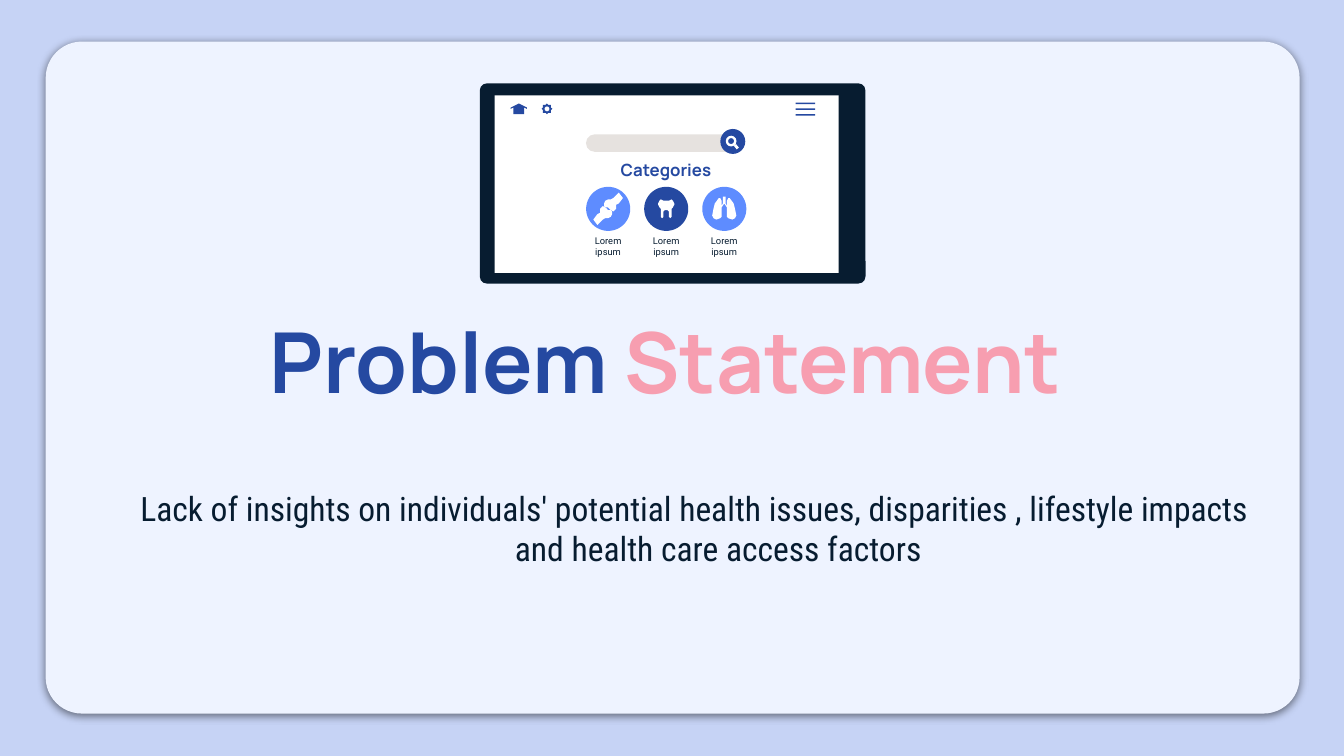
"""Build the problem statement slide with its health app screen."""
from dataclasses import dataclass
from math import cos, pi, sin

from lxml import etree
from pptx import Presentation
from pptx.dml.color import RGBColor
from pptx.enum.shapes import MSO_CONNECTOR, MSO_SHAPE
from pptx.enum.text import MSO_ANCHOR, MSO_AUTO_SIZE, PP_ALIGN
from pptx.oxml import parse_xml
from pptx.oxml.ns import nsdecls, qn
from pptx.util import Emu, Inches, Pt

RECT, ROUND = MSO_SHAPE.RECTANGLE, MSO_SHAPE.ROUNDED_RECTANGLE
OVAL, DONUT = MSO_SHAPE.OVAL, MSO_SHAPE.DONUT
TOP, MIDDLE, BOTTOM = MSO_ANCHOR.TOP, MSO_ANCHOR.MIDDLE, MSO_ANCHOR.BOTTOM
CENTER, NO_FIT = PP_ALIGN.CENTER, MSO_AUTO_SIZE.NONE
STRAIGHT = MSO_CONNECTOR.STRAIGHT

WIDTH, HEIGHT = Inches(10), Inches(5.625)
PERCENT = WIDTH // 100
ICON_STEP = PERCENT // 10
NAVY, BLUE, SKY, PINK = "071C30", "2549A1", "5E8CFF", "F79EB0"
WHITE, PALE, GREY, BACKDROP = "FFFFFF", "EEF3FF", "E6E2DF", "C6D3F5"

Points = list[tuple[float, float]]


@dataclass(frozen=True)
class Box:
    """A rectangle in percent of the slide width."""
    left: float
    top: float
    width: float
    height: float

    def emu(self) -> list[Emu]:
        """Return the four lengths in EMU."""
        sides = (self.left, self.top, self.width, self.height)
        return [Emu(round(side * PERCENT)) for side in sides]


@dataclass(frozen=True)
class Panel:
    """A filled preset shape, with an optional corner or ring share."""
    preset: int
    box: Box
    color: str
    share: float | None = None


@dataclass(frozen=True)
class TextStyle:
    """The look of a text block."""
    font: str
    size: float
    bold: bool = False
    anchor: int = TOP
    inset: float = 1


@dataclass(frozen=True)
class Category:
    """A round button with the outlines of its icon."""
    color: str
    outlines: list[Points]


def hex_color(value: str) -> RGBColor:
    """Turn a hex string into a colour."""
    return RGBColor.from_string(value)


def paint(shape, color: str) -> None:
    """Give a shape a flat fill without line or shadow."""
    shape.fill.solid()
    shape.fill.fore_color.rgb = hex_color(color)
    shape.line.fill.background()
    shape.shadow.inherit = False


def draw_panel(page, panel: Panel):
    """Draw one preset shape."""
    shape = page.shapes.add_shape(panel.preset, *panel.box.emu())
    if panel.share is not None:
        shape.adjustments[0] = panel.share
    paint(shape, panel.color)
    return shape


def draw_outline(page, x: float, y: float, points: Points, color: str) -> None:
    """Draw a closed outline around a centre, in tenths of a percent."""
    builder = page.shapes.build_freeform(*points[0], scale=ICON_STEP)
    builder.add_line_segments(points[1:], close=True)
    paint(builder.convert_to_shape(round(x * PERCENT), round(y * PERCENT)), color)


def write(holder, box: Box, spans: list[tuple[str, str]], style: TextStyle) -> None:
    """Place a text holder and fill it with coloured spans."""
    holder.left, holder.top, holder.width, holder.height = box.emu()
    frame = holder.text_frame
    inset = round(style.inset * PERCENT)
    sides = ("left", "top", "right", "bottom")
    layout = {f"margin_{side}": inset for side in sides}
    layout |= {"word_wrap": True, "auto_size": NO_FIT, "vertical_anchor": style.anchor}
    for name, value in layout.items():
        setattr(frame, name, value)
    para = frame.paragraphs[0]
    para.alignment, para.space_before = CENTER, Pt(0)
    for text, color in spans:
        span = para.add_run()
        span.text = text
        look = {"name": style.font, "size": Pt(style.size), "bold": style.bold}
        for name, value in look.items():
            setattr(span.font, name, value)
        span.font.color.rgb = hex_color(color)


def add_text(page, box: Box, text: str, color: str, style: TextStyle) -> None:
    """Add a text box with one span."""
    write(page.shapes.add_textbox(*box.emu()), box, [(text, color)], style)


def mirrored(half: Points) -> Points:
    """Complete a right half with its reflection."""
    return half + [(-x, y) for x, y in reversed(half)]


def gear(teeth: int, outer: float, inner: float) -> Points:
    """Return the outline of a gear wheel."""
    step = 2 * pi / (teeth * 4)
    radii = [outer if index % 4 < 2 else inner for index in range(teeth * 4)]
    return [(radius * cos((index - .5) * step), radius * sin((index - .5) * step))
            for index, radius in enumerate(radii)]


BONE = [(7.5, -11.5), (3.5, -7.5), (2, -6.8), (.5, -6.8), (-1.5, -6), (-2.7, -4.5),
        (-2.7, -2.5), (-1.5, -1), (.4, -.6), (1.1, .3), (2, 1.3), (3.5, 1.7),
        (5.3, 1), (6.2, -.5), (6.2, -2), (6.5, -3.4), (7.5, -4.5), (10.8, -8.2)]
TOOTH = mirrored([(0, -5.7), (1.5, -6.4), (3.5, -6.6), (5.2, -5.6), (5.8, -4),
                  (5.6, -2.6), (4.7, -1.2), (4.5, 0), (4.5, 3.5), (3.8, 6),
                  (2.8, 6.6), (1.8, 6), (1.7, 2), (1, 1), (0, .6)])
LUNGS = mirrored([(.7, -9.3), (.7, -4.5), (2.3, -2.5), (2.3, -6), (3.3, -7.5),
                  (4.5, -7.5), (7, -4.5), (8.5, 0), (9, 5), (8.2, 7), (6, 7.5),
                  (3.2, 7.2), (2.3, 6), (2.3, -1.2), (0, -3.5)])
HOME = mirrored([(0, -4.3), (6, -.7), (6, 0), (4.4, -.7), (4.4, 3.9)])

CATEGORIES = [Category(SKY, [BONE, [(-x, -y) for x, y in BONE]]),
              Category(BLUE, [TOOTH]), Category(SKY, [LUNGS])]
SCREEN = [Panel(ROUND, Box(35.7, 6.2, 28.7, 14.9), NAVY, .036),
          Panel(RECT, Box(36.8, 7.1, 25.6, 13.2), WHITE),
          Panel(ROUND, Box(43.6, 10, 11.2, 1.3), GREY, .5),
          Panel(OVAL, Box(53.6, 9.6, 1.86, 1.86), BLUE),
          Panel(DONUT, Box(54, 10.1, .8, .8), WHITE, .22)]
MENU = [Panel(RECT, Box(59.2, 7.64 + row * .43, 1.45, .12), BLUE) for row in range(3)]

TITLE = TextStyle("Manrope", 45, True, BOTTOM)
BODY = TextStyle("Roboto Condensed", 18, anchor=MIDDLE)
HEADING = TextStyle("Manrope", 9, True)
LABEL = TextStyle("Roboto", 5, inset=.9)


def draw_card(page) -> None:
    """Draw the pale card with its soft shadow."""
    card = draw_panel(page, Panel(ROUND, Box(3.4, 3.1, 93.3, 50), PALE, .054))
    effects = card.element.spPr.find(qn("a:effectLst"))
    effects.append(parse_xml(
        f'<a:outerShdw {nsdecls("a")} blurRad="57150" dist="19050" dir="5400000" '
        'algn="bl" rotWithShape="0"><a:srgbClr val="000000">'
        '<a:alpha val="50000"/></a:srgbClr></a:outerShdw>'))


def draw_screen(page) -> None:
    """Draw the tablet with its toolbar, search bar and categories."""
    for panel in SCREEN + MENU:
        draw_panel(page, panel)
    ends = [Emu(round(end * PERCENT)) for end in (54.68, 10.78, 54.9, 11.05)]
    handle = page.shapes.add_connector(STRAIGHT, *ends)
    handle.line.color.rgb, handle.line.width = hex_color(WHITE), Pt(1.5)
    etree.SubElement(handle.element.spPr, qn("a:effectLst"))
    draw_outline(page, 38.6, 8.1, HOME, BLUE)
    draw_outline(page, 40.7, 8.1, gear(8, 4.3, 3.4), BLUE)
    draw_panel(page, Panel(OVAL, Box(40.52, 7.92, .36, .36), WHITE))
    add_text(page, Box(44.9, 10.9, 9.3, 2.5), "Categories", BLUE, HEADING)
    for column, category in enumerate(CATEGORIES):
        x, y, size = 45.25 + column * 4.32, 15.54, 3.28
        circle = Box(x - size / 2, y - size / 2, size, size)
        draw_panel(page, Panel(OVAL, circle, category.color))
        for outline in category.outlines:
            draw_outline(page, x, y, outline, WHITE)
        add_text(page, Box(x - 2, 16.6, 4, 2.5), "Lorem ipsum", NAVY, LABEL)


def main() -> None:
    """Build and save the deck."""
    deck = Presentation()
    deck.slide_width, deck.slide_height = WIDTH, HEIGHT
    page = deck.slides.add_slide(deck.slide_layouts[0])
    page.background.fill.solid()
    page.background.fill.fore_color.rgb = hex_color(BACKDROP)
    title, body = page.placeholders
    draw_card(page)
    draw_screen(page)
    for holder in (title, body):
        holder.element.getparent().append(holder.element)
    write(title, Box(6.7, 23, 85.6, 8.5),
          [("Problem ", BLUE), ("Statement", PINK)], TITLE)
    write(body, Box(6.7, 31.4, 88.5, 15.8),
          [("Lack of insights on individuals' potential health issues, disparities , "
            "lifestyle impacts and health care access factors", NAVY)], BODY)
    margins = body.text_frame.paragraphs[0].runs[0].font._element.getparent().getparent().pPr
    for name, value in {"marL": Inches(.5), "indent": Inches(-.35)}.items():
        margins.set(name, str(value))
    deck.save("out.pptx")


if __name__ == "__main__":
    main()
